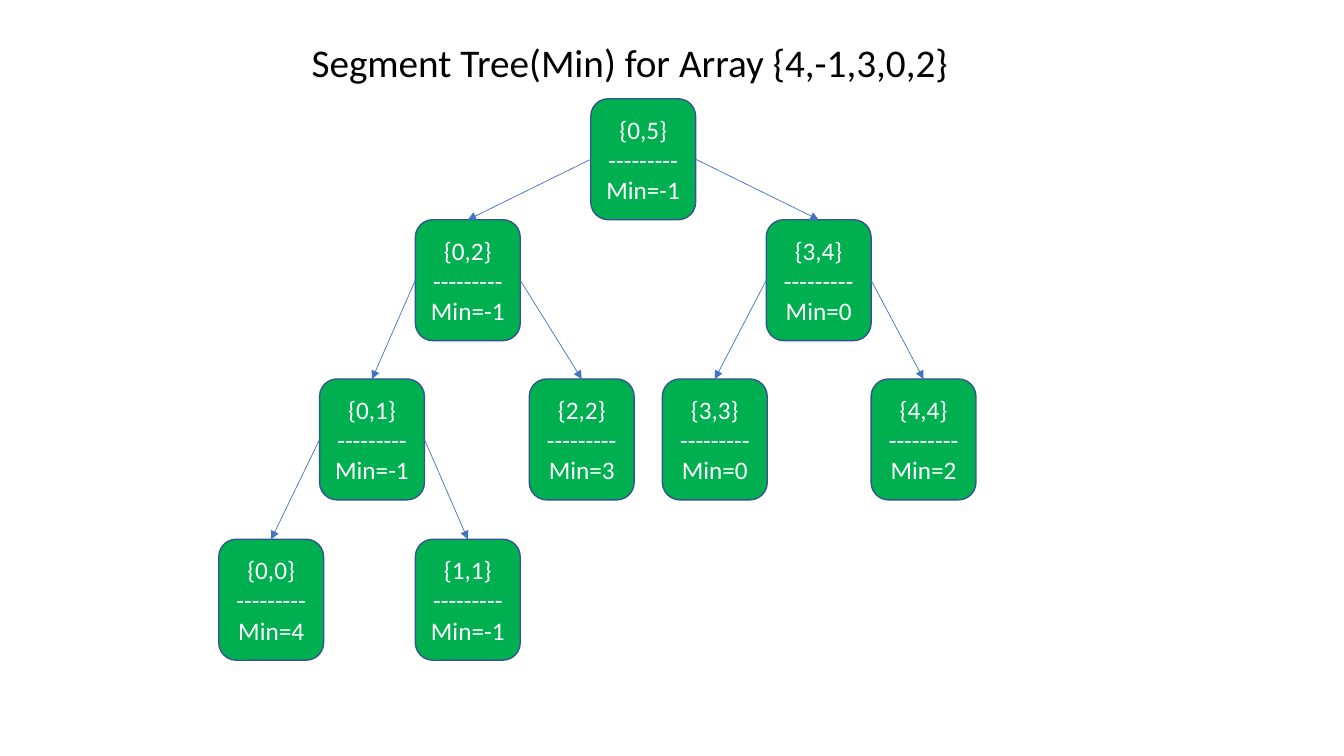
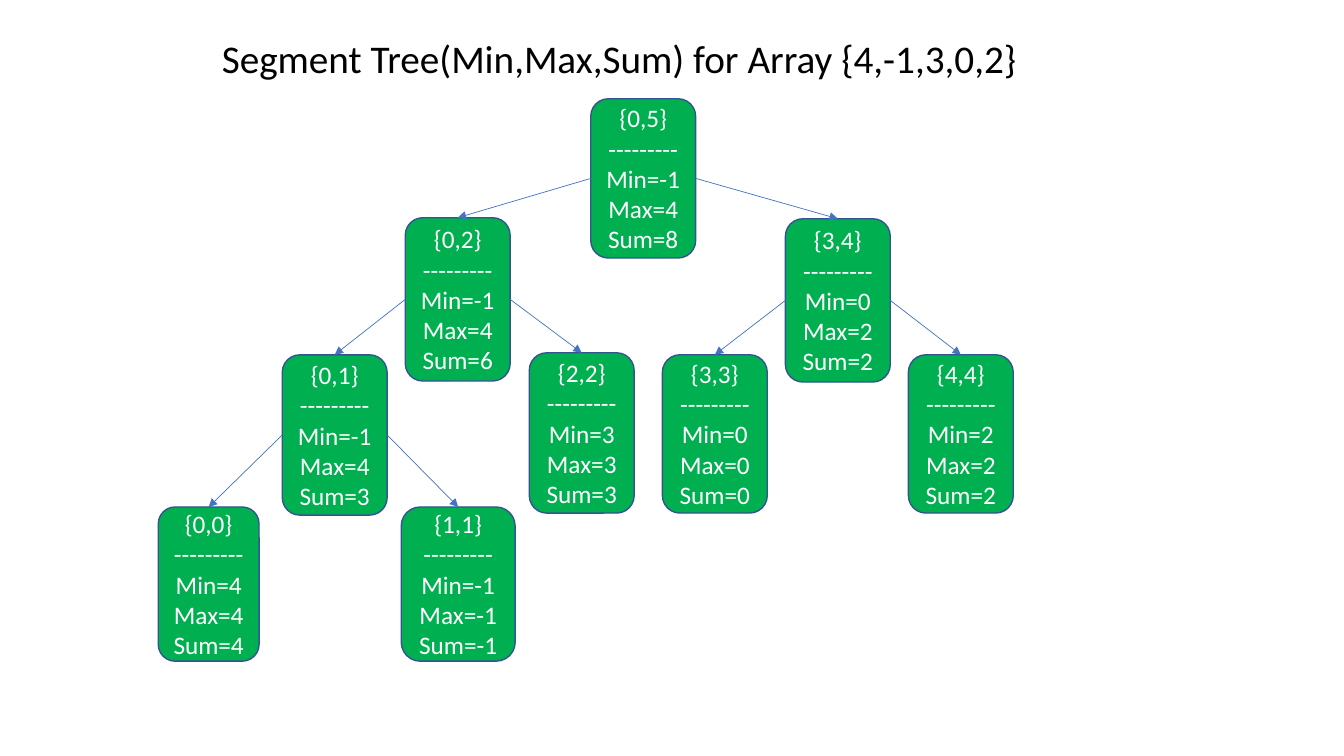
"""Build two slides that show segment trees for one array."""
from dataclasses import dataclass

import pptx
import pptx.dml.color
import pptx.enum.shapes
import pptx.enum.text
import pptx.oxml
import pptx.oxml.ns
import pptx.presentation
import pptx.shapes.autoshape
import pptx.slide
import pptx.text.text
import pptx.util

SCALE = 9144
FONT = "Calibri"
BLACK, WHITE = "000000", "FFFFFF"
GREEN, NAVY, BLUE = "00B050", "325491", "4472C4"
RULE = "---------"
LEFT_SITE, RIGHT_SITE, TOP_SITE = 1, 3, 0


@dataclass(frozen=True)
class Node:
    span: str
    stats: tuple[int, ...]
    x: int
    y: int
    w: int = 104
    h: int = 120
    kids: tuple["Node", ...] = ()


@dataclass(frozen=True)
class Page:
    title: str
    x: int
    y: int
    w: int
    root: Node


PAGES = (
    Page("Segment Tree(Min) for Array {4,-1,3,0,2}", 299, 33, 679,
         Node("{0,5}", (-1,), 586, 98, kids=(
             Node("{0,2}", (-1,), 412, 218, kids=(
                 Node("{0,1}", (-1,), 317, 376, kids=(
                     Node("{0,0}", (4,), 217, 535),
                     Node("{1,1}", (-1,), 412, 535))),
                 Node("{2,2}", (3,), 525, 376))),
             Node("{3,4}", (0,), 760, 218, kids=(
                 Node("{3,3}", (0,), 657, 376),
                 Node("{4,4}", (2,), 864, 376)))))),
    Page("Segment Tree(Min,Max,Sum) for Array {4,-1,3,0,2}", 210, 29, 838,
         Node("{0,5}", (-1, 4, 8), 586, 98, h=158, kids=(
             Node("{0,2}", (-1, 4, 6), 402, 216, h=162, kids=(
                 Node("{0,1}", (-1, 4, 3), 280, 352, h=159, kids=(
                     Node("{0,0}", (4, 4, 4), 157, 503, 100, 153),
                     Node("{1,1}", (-1, -1, -1), 398, 503, 113, 153))),
                 Node("{2,2}", (3, 3, 3), 525, 350, h=159))),
             Node("{3,4}", (0, 2, 2), 779, 217, h=162, kids=(
                 Node("{3,3}", (0, 0, 0), 657, 352, h=157),
                 Node("{4,4}", (2, 2, 2), 901, 352, h=157)))))),
)


def px(size: int) -> pptx.util.Emu:
    return pptx.util.Emu(size * SCALE)


def tint(code: str) -> pptx.dml.color.RGBColor:
    return pptx.dml.color.RGBColor.from_string(code)


def style(frame: pptx.text.text.TextFrame, size: int, code: str,
          align: pptx.enum.text.PP_ALIGN) -> None:
    for para in frame.paragraphs:
        para.alignment = align
        for run in para.runs:
            run.font.name = FONT
            run.font.size = pptx.util.Pt(size)
            run.font.color.rgb = tint(code)


def link(slide: pptx.slide.Slide, top: pptx.shapes.autoshape.Shape,
         low: pptx.shapes.autoshape.Shape, site: int) -> None:
    line = slide.shapes.add_connector(
        pptx.enum.shapes.MSO_CONNECTOR.STRAIGHT, 0, 0, 0, 0)
    line.begin_connect(top, site)
    line.end_connect(low, TOP_SITE)
    line.line.color.rgb = tint(BLUE)
    line.line.width = pptx.util.Pt(0.5)
    space = pptx.oxml.ns.nsdecls("a")
    line.line._get_or_add_ln().append(
        pptx.oxml.parse_xml(f'<a:tailEnd {space} type="triangle"/>'))
    line._element.spPr.append(
        pptx.oxml.parse_xml(f"<a:effectLst {space}/>"))


def draw(slide: pptx.slide.Slide, node: Node) -> pptx.shapes.autoshape.Shape:
    box = slide.shapes.add_shape(
        pptx.enum.shapes.MSO_SHAPE.ROUNDED_RECTANGLE,
        px(node.x), px(node.y), px(node.w), px(node.h))
    box.shadow.inherit = False
    box.fill.solid()
    box.fill.fore_color.rgb = tint(GREEN)
    box.line.color.rgb = tint(NAVY)
    box.line.width = pptx.util.Pt(1)
    stats = [f"{name}={stat}"
             for name, stat in zip(("Min", "Max", "Sum"), node.stats)]
    box.text_frame.text = "\n".join([node.span, RULE, *stats])
    box.text_frame.vertical_anchor = pptx.enum.text.MSO_ANCHOR.MIDDLE
    style(box.text_frame, 18, WHITE, pptx.enum.text.PP_ALIGN.CENTER)
    for kid, site in zip(node.kids, (LEFT_SITE, RIGHT_SITE)):
        link(slide, box, draw(slide, kid), site)
    return box


def build(deck: pptx.presentation.Presentation, page: Page) -> None:
    slide = deck.slides.add_slide(deck.slide_layouts.get_by_name("Title Only"))
    title = slide.shapes.title
    title.left, title.top = px(page.x), px(page.y)
    title.width, title.height = px(page.w), px(57)
    frame = title.text_frame
    frame.text = page.title
    frame.word_wrap = True
    frame.auto_size = pptx.enum.text.MSO_AUTO_SIZE.NONE
    frame.vertical_anchor = pptx.enum.text.MSO_ANCHOR.TOP
    style(frame, 28, BLACK, pptx.enum.text.PP_ALIGN.LEFT)
    draw(slide, page.root)


def main() -> None:
    deck = pptx.Presentation()
    deck.slide_width, deck.slide_height = px(1333), px(750)
    for page in PAGES:
        build(deck, page)
    deck.save("out.pptx")


if __name__ == "__main__":
    main()
